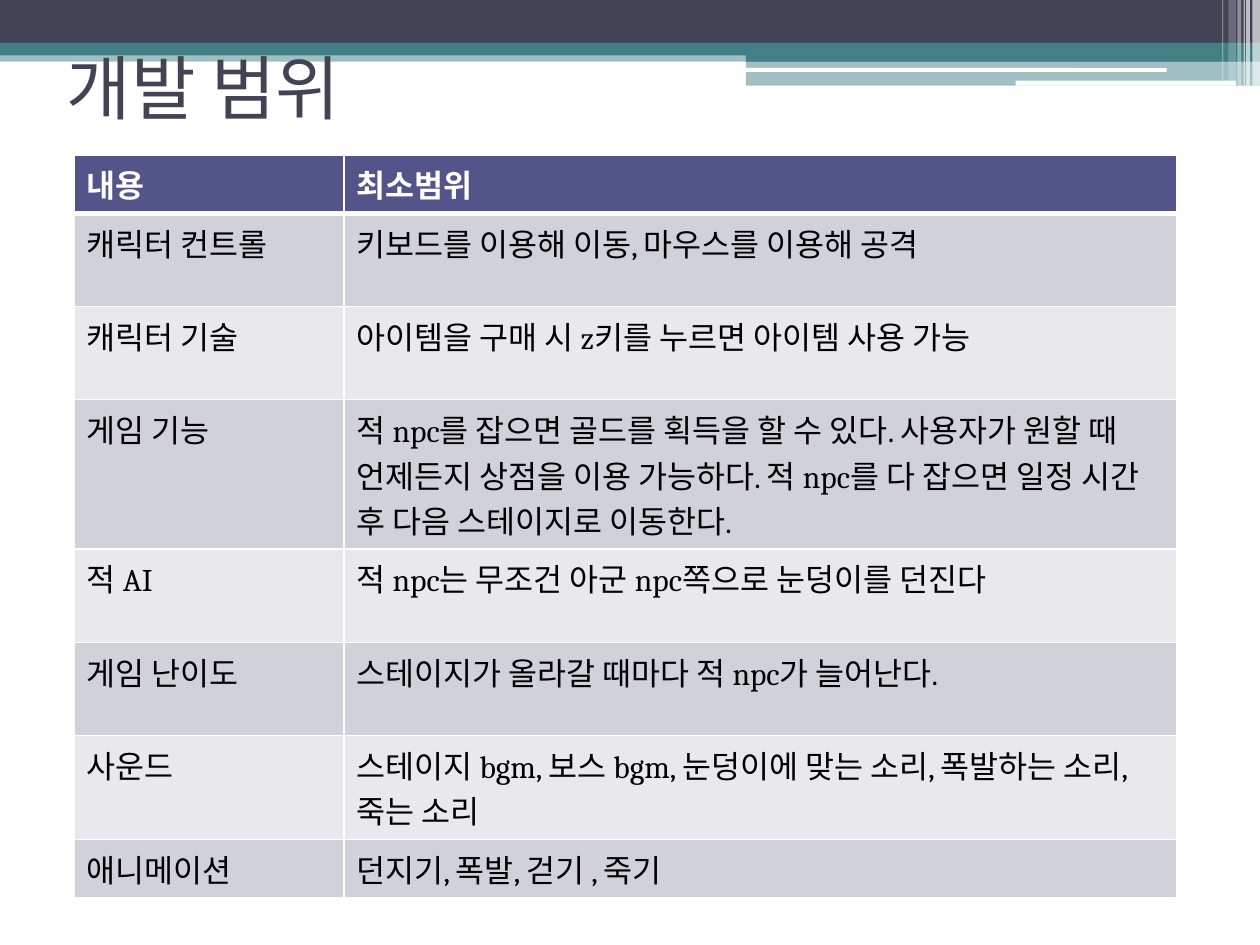
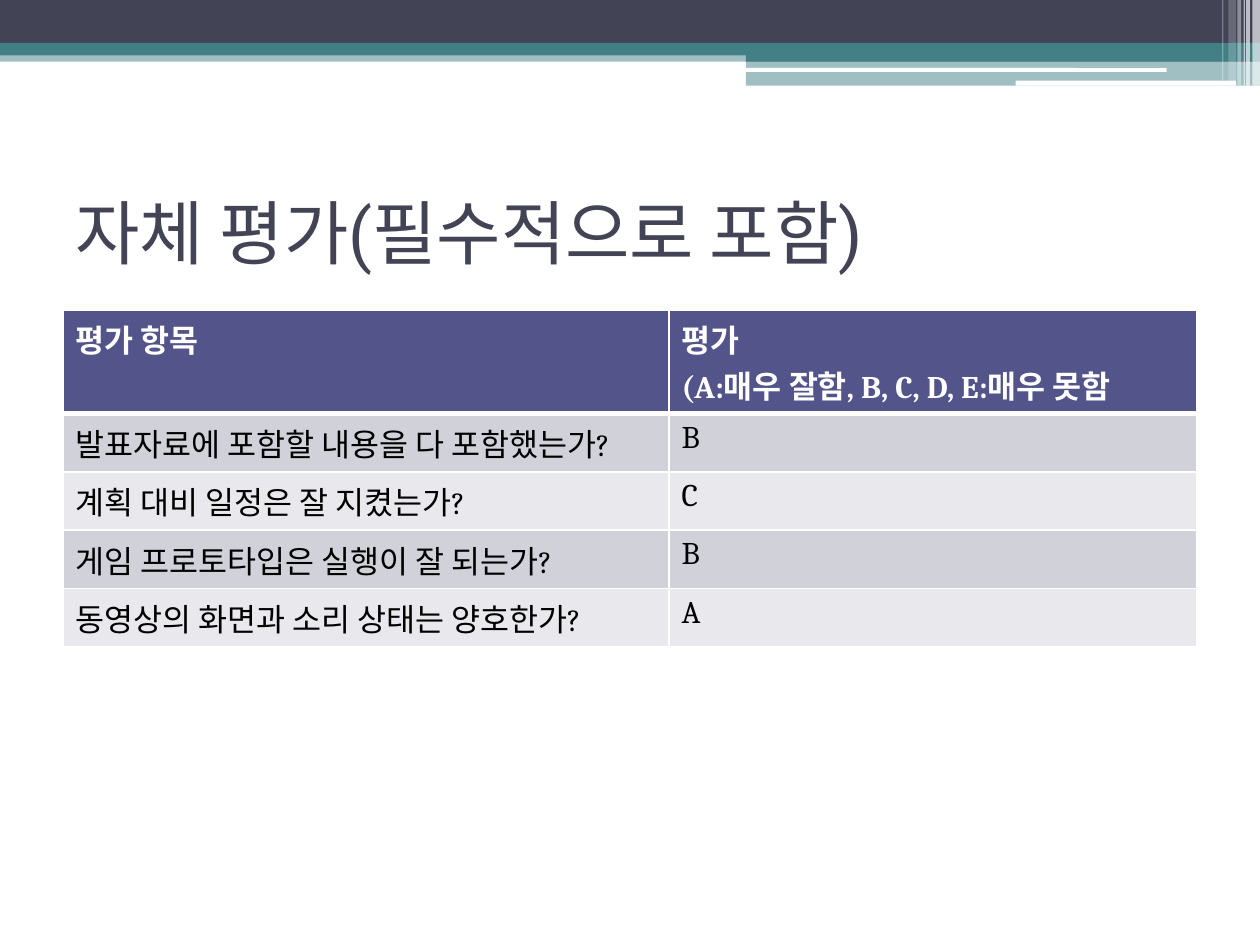
"""Build two table slides on game scope and self-assessment."""
import lxml.etree
import pptx
import pptx.dml.color
import pptx.enum.shapes
import pptx.enum.text
import pptx.oxml.ns
import pptx.util

RGBColor = pptx.dml.color.RGBColor
WHITE = RGBColor(0xFF, 0xFF, 0xFF)
BLACK = RGBColor(0x00, 0x00, 0x00)
SLATE = RGBColor(0x42, 0x44, 0x56)
TEAL = RGBColor(0x43, 0x80, 0x86)
INDIGO = RGBColor(0x53, 0x54, 0x8A)
STRIPES = (RGBColor(0xD1, 0xD1, 0xDA), RGBColor(0xE9, 0xE9, 0xED))

COLUMNS, ROWS = 100, 75
SLIDE_WIDTH = pptx.util.Inches(10)
SLIDE_HEIGHT = pptx.util.Inches(7.5)
TITLE_ONLY = 5

TITLE_FONT = {"name": "Roboto", "size": pptx.util.Pt(40), "bold": False}
HEADER_FONT = {"name": "Cambria", "size": pptx.util.Pt(18), "bold": True}
BODY_FONT = {**HEADER_FONT, "bold": False}

RECTANGLE = pptx.enum.shapes.MSO_SHAPE.RECTANGLE
ROUNDED = pptx.enum.shapes.MSO_SHAPE.ROUNDED_RECTANGLE
BANDS = (
    (RECTANGLE, (0, 4, 100, 0.9), TEAL, 50),
    (RECTANGLE, (0, 0, 100, 3.4), SLATE, 100),
    (RECTANGLE, (0, 3.4, 100, 1), TEAL, 100),
    (RECTANGLE, (59.2, 3.9, 40.8, 1), TEAL, 100),
    (RECTANGLE, (59.2, 4.8, 40.8, 2), TEAL, 50),
    (ROUNDED, (59.1, 5.4, 33.5, 0.3), WHITE, 100),
    (ROUNDED, (80.6, 6.4, 17.5, 0.4), WHITE, 100),
)
PINSTRIPES = (
    (99.4, 0.6, 6.8, 65),
    (98.9, 0.3, 6.8, 65),
    (98.7, 0.1, 6.8, 60),
    (98.2, 0.3, 6.8, 40),
    (97.5, 0.6, 6.4, 20),
    (97, 0.1, 6.4, 30),
)

SCOPE_ROWS = (
    ("내용", "최소범위"),
    ("캐릭터 컨트롤", "키보드를 이용해 이동, 마우스를 이용해 공격"),
    ("캐릭터 기술", "아이템을 구매 시 z키를 누르면 아이템 사용 가능"),
    ("게임 기능", "적 npc를 잡으면 골드를 획득을 할 수 있다. 사용자가 원할 때 언제든지 "
     "상점을 이용 가능하다. 적 npc를 다 잡으면 일정 시간 후 다음 스테이지로 이동한다."),
    ("적 AI", "적 npc는 무조건 아군 npc쪽으로 눈덩이를 던진다"),
    ("게임 난이도", "스테이지가 올라갈 때마다 적 npc가 늘어난다."),
    ("사운드", "스테이지 bgm, 보스 bgm, 눈덩이에 맞는 소리, 폭발하는 소리, 죽는 소리"),
    ("애니메이션", "던지기, 폭발, 걷기 , 죽기"),
)
ASSESSMENT_ROWS = (
    ("평가 항목", "평가\n(A:매우 잘함, B, C, D, E:매우 못함"),
    ("발표자료에 포함할 내용을 다 포함했는가?", "B"),
    ("계획 대비 일정은 잘 지켰는가?", "C"),
    ("게임 프로토타입은 실행이 잘 되는가?", "B"),
    ("동영상의 화면과 소리 상태는 양호한가?", "A"),
)


def across(columns):
    """Return the width of a number of grid columns."""
    return int(SLIDE_WIDTH * columns / COLUMNS)


def down(rows):
    """Return the height of a number of grid rows."""
    return int(SLIDE_HEIGHT * rows / ROWS)


def grid_box(left, top, width, height):
    """Return a grid area as slide lengths."""
    return across(left), down(top), across(width), down(height)


def format_font(font, color, values):
    """Apply a colour and a dict of values to a font."""
    font.color.rgb = color
    for name, value in values.items():
        setattr(font, name, value)


def add_band(slide, kind, area, color, opacity):
    """Add a borderless band with the given opacity in percent."""
    shape = slide.shapes.add_shape(kind, *grid_box(*area))
    shape.shadow.inherit = False
    shape.line.fill.background()
    shape.fill.solid()
    shape.fill.fore_color.rgb = color
    if opacity < 100:
        fill_color = shape.element.find(".//" + pptx.oxml.ns.qn("a:srgbClr"))
        alpha = lxml.etree.SubElement(fill_color, pptx.oxml.ns.qn("a:alpha"))
        alpha.set("val", str(opacity * 1000))
    return shape


def decorate_layout(layout, slide):
    """Draw the shared header bands and move them to the layout."""
    for placeholder in list(layout.placeholders)[1:]:
        placeholder.element.getparent().remove(placeholder.element)
    bands = [add_band(slide, *band) for band in BANDS]
    for left, width, height, opacity in PINSTRIPES:
        bands.append(add_band(slide, RECTANGLE, (left, 0, width, height), WHITE, opacity))
    for band in bands:
        layout.shapes.element.append(band.element)


def set_title(slide, text, area):
    """Place and format the slide's title."""
    title = slide.shapes.title
    title.left, title.top, title.width, title.height = grid_box(*area)
    frame = title.text_frame
    frame.text = text
    frame.word_wrap = True
    frame.auto_size = pptx.enum.text.MSO_AUTO_SIZE.NONE
    frame.vertical_anchor = pptx.enum.text.MSO_ANCHOR.MIDDLE
    paragraph = frame.paragraphs[0]
    paragraph.alignment = pptx.enum.text.PP_ALIGN.LEFT
    format_font(paragraph.runs[0].font, SLATE, TITLE_FONT)


def set_borders(cell, bottom_width):
    """Give a cell white borders, 1 pt wide except at the bottom."""
    properties = cell._tc.get_or_add_tcPr()
    widths = {"a:lnL": 1, "a:lnR": 1, "a:lnT": 1, "a:lnB": bottom_width}
    for index, (tag, width) in enumerate(widths.items()):
        line = lxml.etree.Element(pptx.oxml.ns.qn(tag), w=str(pptx.util.Pt(width)))
        fill = lxml.etree.SubElement(line, pptx.oxml.ns.qn("a:solidFill"))
        lxml.etree.SubElement(fill, pptx.oxml.ns.qn("a:srgbClr"), val=str(WHITE))
        properties.insert(index, line)


def fill_cell(cell, text, is_header, fill_color):
    """Write and style one table cell."""
    cell.text = text
    cell.fill.solid()
    cell.fill.fore_color.rgb = fill_color
    set_borders(cell, 3 if is_header else 1)
    for paragraph in cell.text_frame.paragraphs:
        for run in paragraph.runs:
            format_font(run.font, WHITE if is_header else BLACK,
                        HEADER_FONT if is_header else BODY_FONT)


def add_striped_table(slide, corner, widths, heights, rows):
    """Add a table with a header row and alternating body rows."""
    area = grid_box(*corner, sum(widths), sum(heights))
    table = slide.shapes.add_table(len(rows), len(widths), *area).table
    for column, width in zip(table.columns, widths):
        column.width = across(width)
    for index, (height, texts) in enumerate(zip(heights, rows)):
        table.rows[index].height = down(height)
        fill_color = STRIPES[(index - 1) % 2] if index else INDIGO
        for cell, text in zip(table.rows[index].cells, texts):
            fill_cell(cell, text, index == 0, fill_color)


def main():
    """Build and save the presentation."""
    presentation = pptx.Presentation()
    presentation.slide_width = SLIDE_WIDTH
    presentation.slide_height = SLIDE_HEIGHT
    layout = presentation.slide_layouts[TITLE_ONLY]

    scope = presentation.slides.add_slide(layout)
    decorate_layout(layout, scope)
    set_title(scope, "개발 범위", (4.3, 2.9, 90, 7.9))
    add_striped_table(scope, (5.9, 12.3), (21.4, 66.1),
                      [4.3] + [7.4] * 5 + [4.3] * 2, SCOPE_ROWS)

    assessment = presentation.slides.add_slide(layout)
    set_title(assessment, "자체 평가(필수적으로 포함)", (5, 12.5, 90, 11.7))
    add_striped_table(assessment, (5, 24.6), (48.1, 41.9), [4.1] * 5, ASSESSMENT_ROWS)

    presentation.save("out.pptx")


if __name__ == "__main__":
    main()
